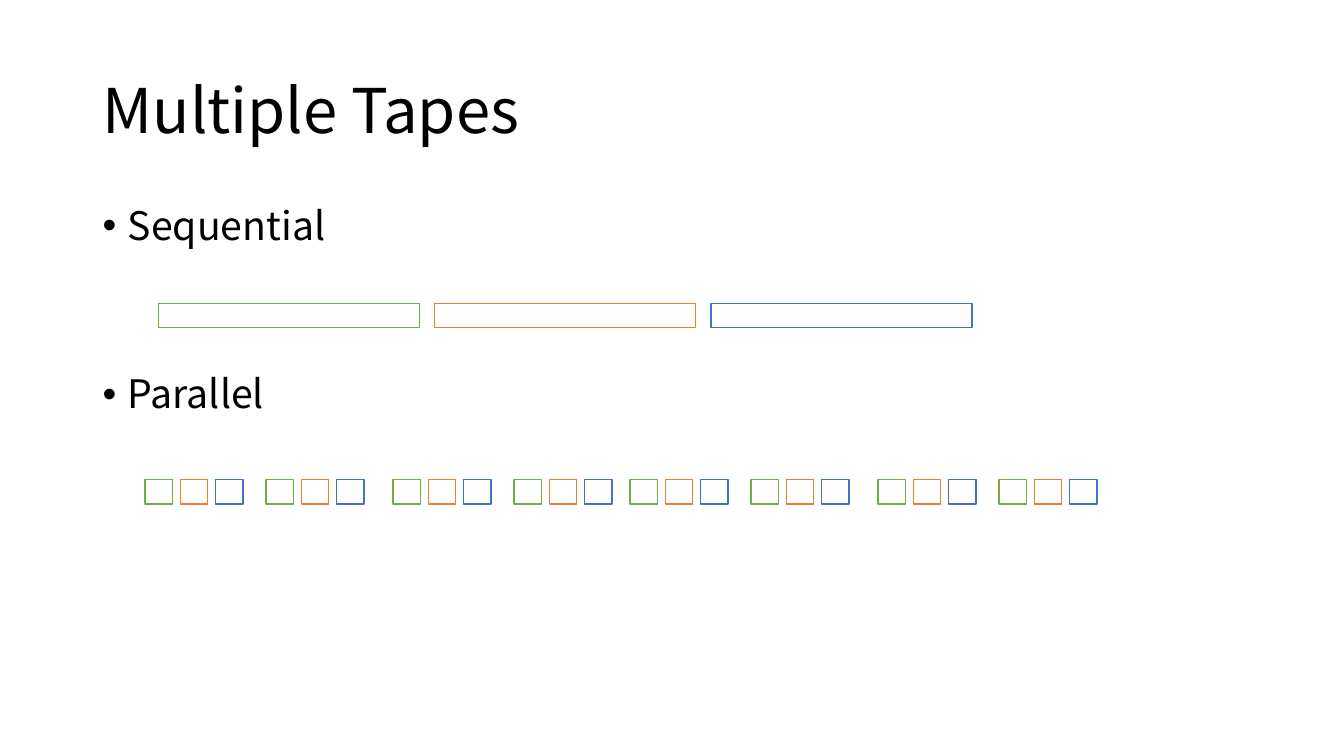
import pptx
import pptx.dml.color
import pptx.enum.shapes
import pptx.enum.text
import pptx.util
from lxml import etree
from pptx.oxml.ns import qn

Inches, Pt = pptx.util.Inches, pptx.util.Pt
RGBColor = pptx.dml.color.RGBColor

BLACK = RGBColor(0x00, 0x00, 0x00)
WHITE = RGBColor(0xFF, 0xFF, 0xFF)
GREEN = RGBColor(0x70, 0xAD, 0x47)
ORANGE = RGBColor(0xED, 0x7D, 0x31)
BLUE = RGBColor(0x44, 0x72, 0xC4)
FONT = "Noto Sans CJK SC"

TITLE = "Multiple Tapes"
# Heading and the space before it in points
HEADINGS = [("Sequential", 10), ("Parallel", 90)]
TAPE_COLORS = [GREEN, ORANGE, BLUE]

TAPE_HEIGHT = 0.24
SEQUENTIAL_LEFT, SEQUENTIAL_TOP = 1.57, 3.01
SEQUENTIAL_WIDTH, SEQUENTIAL_STEP = 2.59, 2.74
PARALLEL_TOP = 4.76
PARALLEL_WIDTH, PARALLEL_STEP = 0.27, 0.35
PARALLEL_HALVES = [1.44, 6.25]
GROUP_OFFSETS = [0, 1.2, 2.46, 3.66]


def add_text_frame(slide, left, top, width, height):
    box = slide.shapes.add_textbox(
        Inches(left), Inches(top), Inches(width), Inches(height))
    box.text_frame.word_wrap = True
    return box.text_frame


def style_paragraph(paragraph, text, size):
    paragraph.text = text
    paragraph.line_spacing = 0.9
    paragraph.font.size = Pt(size)
    paragraph.font.name = FONT
    paragraph.font.color.rgb = BLACK


def add_bullet(paragraph):
    properties = paragraph._p.get_or_add_pPr()
    properties.set("marL", str(Inches(0.25)))
    properties.set("indent", str(Inches(-0.25)))
    bullet_font = etree.Element(qn("a:buFont"), typeface="Arial")
    bullet = etree.Element(qn("a:buChar"), char="•")
    position = len(properties.findall(qn("a:lnSpc")) + properties.findall(qn("a:spcBef")))
    properties.insert(position, bullet_font)
    properties.insert(position + 1, bullet)


def add_tapes(slide, left, top, width, step):
    """Draw one block of each tape, side by side."""
    for index, color in enumerate(TAPE_COLORS):
        block = slide.shapes.add_shape(
            pptx.enum.shapes.MSO_SHAPE.RECTANGLE,
            Inches(left + index * step), Inches(top),
            Inches(width), Inches(TAPE_HEIGHT))
        block.shadow.inherit = False
        block.fill.solid()
        block.fill.fore_color.rgb = WHITE
        block.line.color.rgb = color
        block.line.width = Pt(1)


def main():
    presentation = pptx.Presentation()
    presentation.slide_width = Inches(13.33)
    presentation.slide_height = Inches(7.5)
    slide = presentation.slides.add_slide(presentation.slide_layouts[6])

    title = add_text_frame(slide, 0.92, 0.4, 11.5, 1.45)
    title.vertical_anchor = pptx.enum.text.MSO_ANCHOR.MIDDLE
    style_paragraph(title.paragraphs[0], TITLE, 44)

    body = add_text_frame(slide, 0.92, 2, 11.5, 4.76)
    for index, (heading, space_before) in enumerate(HEADINGS):
        paragraph = body.add_paragraph() if index else body.paragraphs[0]
        style_paragraph(paragraph, heading, 28)
        paragraph.space_before = Pt(space_before)
        add_bullet(paragraph)

    add_tapes(slide, SEQUENTIAL_LEFT, SEQUENTIAL_TOP,
              SEQUENTIAL_WIDTH, SEQUENTIAL_STEP)
    for half_left in PARALLEL_HALVES:
        for offset in GROUP_OFFSETS:
            add_tapes(slide, half_left + offset, PARALLEL_TOP,
                      PARALLEL_WIDTH, PARALLEL_STEP)

    presentation.save("out.pptx")


if __name__ == "__main__":
    main()
